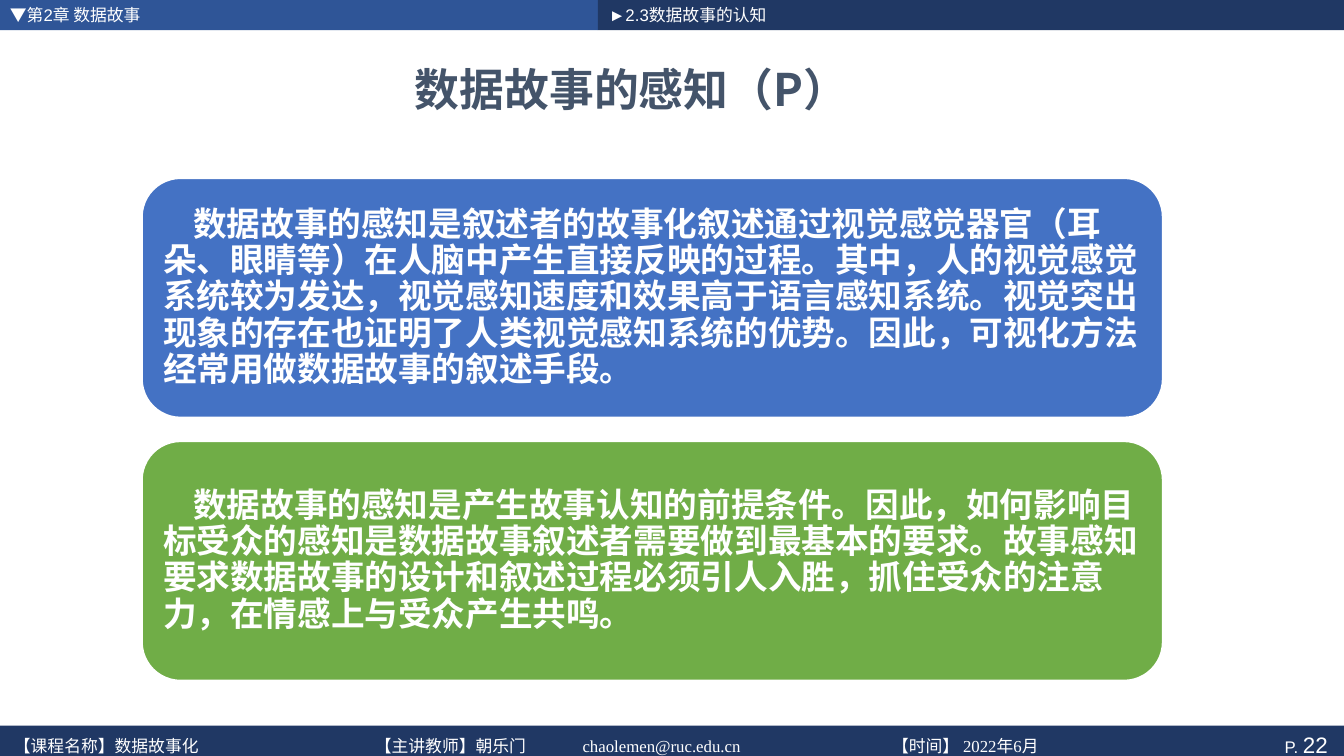
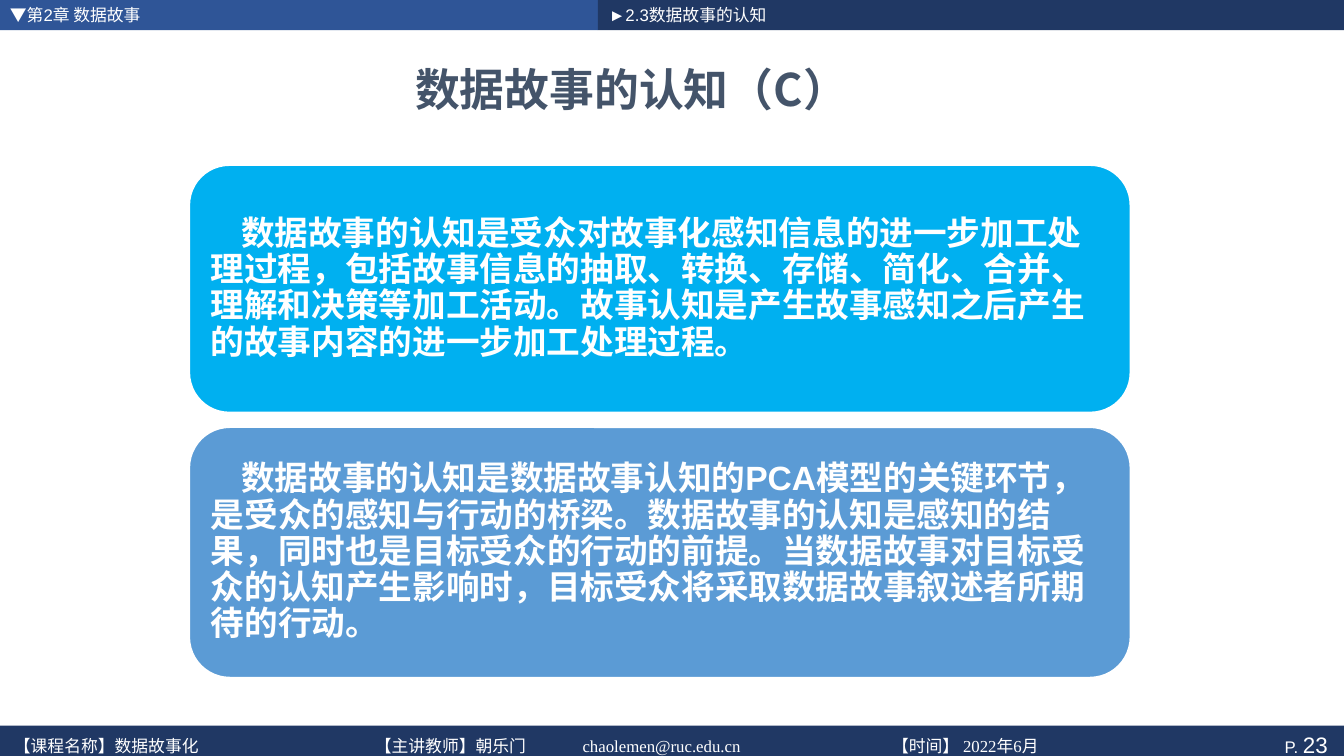
"""Two lecture slides on the perception and cognition of data stories."""
from lxml import etree
from pptx import Presentation
from pptx.dml.color import RGBColor
from pptx.enum import shapes, text
from pptx.oxml import ns
from pptx.util import Inches, Pt

WHITE = RGBColor(0xFF, 0xFF, 0xFF)
SLATE = RGBColor(0x44, 0x54, 0x6A)
NAVY = RGBColor(0x20, 0x38, 0x64)
BLUE = RGBColor(0x2F, 0x55, 0x97)
ROYAL = RGBColor(0x44, 0x72, 0xC4)
GREEN = RGBColor(0x70, 0xAD, 0x47)
SKY = RGBColor(0x00, 0xB0, 0xF0)
STEEL = RGBColor(0x5B, 0x9B, 0xD5)
SANS, SERIF, CJK = "Arial", "Times New Roman", "Noto Sans CJK SC"
WIDTH, HEIGHT = 13.33, 7.5
COURSE_DETAILS = (
    (0.04, "【课程名称】数据故事化"),
    (3.62, "【主讲教师】朝乐门"),
    (5.68, "chaolemen@ruc.edu.cn"),
    (8.75, "【时间】 2022年6月"),
)


def write(frame, *runs, font=SANS, color=WHITE, bold=False, align=text.PP_ALIGN.LEFT,
          spacing=1.0, indent=0, anchor=text.MSO_ANCHOR.MIDDLE):
    """Fill a text frame with one paragraph of (wording, size) runs."""
    frame.word_wrap = True
    frame.auto_size = text.MSO_AUTO_SIZE.NONE
    frame.vertical_anchor = anchor
    paragraph = frame.paragraphs[0]
    paragraph.alignment = align
    paragraph.line_spacing = spacing
    properties = paragraph._p.get_or_add_pPr()
    properties.set("indent", str(Inches(indent)))
    properties.set("hangingPunct", "0")
    for wording, size in runs:
        run = paragraph.add_run()
        run.text = wording
        run.font.name, run.font.size, run.font.bold = font, Pt(size), bold
        run.font.color.rgb = color
        etree.SubElement(run.font._element, ns.qn("a:ea"), typeface=CJK)


class Deck:
    """Holds the presentation style and the current slide."""

    def __init__(self):
        self.prs = Presentation()
        self.prs.slide_width, self.prs.slide_height = Inches(WIDTH), Inches(HEIGHT)
        self.slide = None

    def start(self, heading, page):
        """Open a slide with its title, header bands and footer."""
        self.slide = self.prs.slides.add_slide(self.prs.slide_layouts[5])
        title = self.slide.shapes.title
        title.left, title.top = Inches(0.43), Inches(0.43)
        title.width, title.height = Inches(11.67), Inches(0.9)
        write(title.text_frame, (heading, 32), font=CJK, color=SLATE, bold=True,
              align=text.PP_ALIGN.CENTER)
        split = 5.93
        chapter = self.block(0, 0, split, 0.3, BLUE)
        write(chapter.text_frame, ("▼第2章 数据故事", 12))
        section = self.block(split, 0, WIDTH - split, 0.3, NAVY)
        section.text_frame.margin_left = Inches(0.11)
        write(section.text_frame, ("►2.3数据故事的认知", 12))
        self.footer(page)

    def footer(self, page):
        """Draw the bottom band with course details and page number."""
        band = self.block(0, 7.2, WIDTH, 0.37, NAVY)
        band.text_frame.margin_right = Inches(0.16)
        write(band.text_frame, ("P. ", 12), (str(page), 16), align=text.PP_ALIGN.RIGHT)
        for left, wording in COURSE_DETAILS:
            detail = self.slide.shapes.add_textbox(
                Inches(left), Inches(7.25), Inches(2.4), Inches(0.31))
            write(detail.text_frame, (wording, 12), font=SERIF,
                  anchor=text.MSO_ANCHOR.TOP)

    def block(self, left, top, width, height, fill, kind=shapes.MSO_SHAPE.RECTANGLE):
        """Add a plain filled shape."""
        shape = self.slide.shapes.add_shape(
            kind, Inches(left), Inches(top), Inches(width), Inches(height))
        shape.shadow.inherit = False
        shape.fill.solid()
        shape.fill.fore_color.rgb = fill
        shape.line.fill.background()
        return shape

    def card(self, left, top, width, height, fill, wording):
        """Add a rounded card with a bold paragraph."""
        card = self.block(left, top, width, height, fill,
                          shapes.MSO_SHAPE.ROUNDED_RECTANGLE)
        card.line.color.rgb = WHITE
        card.line.width = Pt(3.78)
        frame = card.text_frame
        frame.margin_left, frame.margin_right = Inches(0.11), Inches(0.1)
        frame.margin_top = frame.margin_bottom = Inches(0.1)
        write(frame, (wording, 24), bold=True, spacing=0.9, indent=0.3)


def main():
    """Build and save both slides."""
    deck = Deck()
    deck.start("数据故事的感知（P）", 22)
    deck.card(1.39, 1.75, 10.16, 2.41, ROYAL,
              "数据故事的感知是叙述者的故事化叙述通过视觉感觉器官（耳朵、眼睛等）在人脑中"
              "产生直接反映的过程。其中，人的视觉感觉系统较为发达，视觉感知速度和效果高于"
              "语言感知系统。视觉突出现象的存在也证明了人类视觉感知系统的优势。因此，"
              "可视化方法经常用做数据故事的叙述手段。")
    deck.card(1.39, 4.36, 10.16, 2.41, GREEN,
              "数据故事的感知是产生故事认知的前提条件。因此，如何影响目标受众的感知是"
              "数据故事叙述者需要做到最基本的要求。故事感知要求数据故事的设计和叙述过程"
              "必须引人入胜，抓住受众的注意力，在情感上与受众产生共鸣。")

    deck.start("数据故事的认知（C）", 23)
    deck.card(1.86, 1.62, 9.37, 2.49, SKY,
              "数据故事的认知是受众对故事化感知信息的进一步加工处理过程，包括故事信息的"
              "抽取、转换、存储、简化、合并、理解和决策等加工活动。故事认知是产生故事感知"
              "之后产生的故事内容的进一步加工处理过程。")
    deck.card(1.86, 4.22, 9.37, 2.52, STEEL,
              "数据故事的认知是数据故事认知的PCA模型的关键环节，是受众的感知与行动的桥梁。"
              "数据故事的认知是感知的结果，同时也是目标受众的行动的前提。当数据故事对目标"
              "受众的认知产生影响时，目标受众将采取数据故事叙述者所期待的行动。")
    deck.prs.save("out.pptx")


if __name__ == "__main__":
    main()
